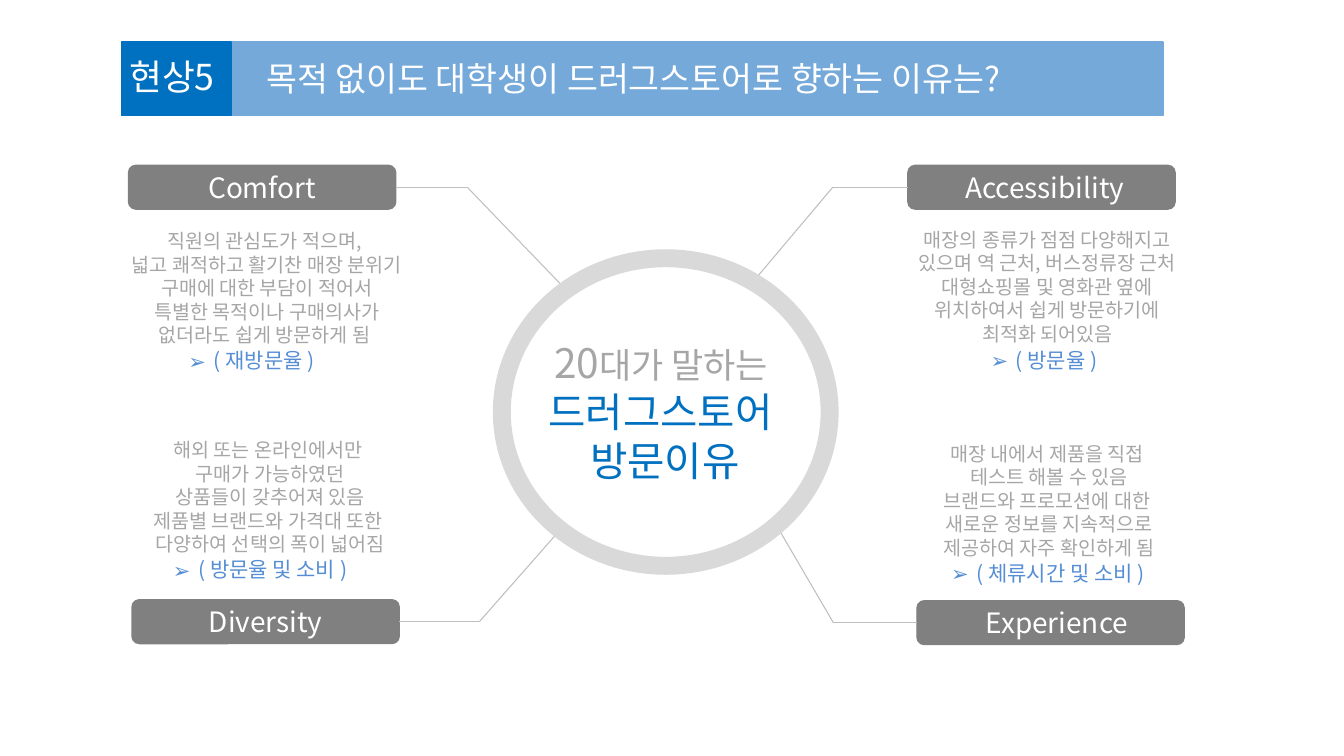
from lxml.etree import SubElement
from pptx import Presentation
from pptx.dml.color import RGBColor
from pptx.enum.shapes import MSO_CONNECTOR, MSO_SHAPE
from pptx.enum.text import MSO_ANCHOR, MSO_AUTO_SIZE, PP_ALIGN
from pptx.oxml.ns import qn
from pptx.util import Pt

FONT = "Noto Sans CJK KR"
WHITE = RGBColor(0xFF, 0xFF, 0xFF)
BLUE = RGBColor(0x00, 0x70, 0xC0)
SKY = RGBColor(0x75, 0xA9, 0xD9)
NOTE = RGBColor(0x55, 0x8E, 0xD5)
DARK = RGBColor(0x80, 0x80, 0x80)
GREY = RGBColor(0xA6, 0xA6, 0xA6)
RULE = RGBColor(0xBF, 0xBF, 0xBF)
PALE = RGBColor(0xD9, 0xD9, 0xD9)

# Content: a line is a list of (text, size, colour) runs
TITLE = "목적 없이도 대학생이 드러그스토어로 향하는 이유는?"
TAG = "현상5"
CORE = [
    [("20", 58, GREY), ("대가 말하는 ", 50, GREY)],
    [("드러그스토어 ", 58, BLUE)],
    [("방문이유", 58, BLUE)],
]
# Boxes are left, top, width, height; side is the card's site facing the ring
CARDS = [
    dict(name="Comfort", at=(183.6, 236.2), pad=0, side=3,
         bend=667.4, end=(805, 410.4),
         box=(167.8, 324, 426.2, 213), note="( 재방문율 ) ", spot=(187.9, 493.6),
         body=["직원의 관심도가 적으며, ", "넓고 쾌적하고 활기찬 매장 분위기",
               "구매에 대한 부담이 적어서",
               "특별한 목적이나 구매의사가 없더라도 쉽게 방문하게 됨 "]),
    dict(name="Accessibility", at=(1296.7, 236.2), pad=9, side=1,
         bend=1189.4, end=(1082.2, 394.6),
         box=(1289.5, 321.8, 412.6, 177), note="( 방문율 ) ", spot=(1319.8, 492.2),
         body=["매장의 종류가 점점 다양해지고 있으며 역 근처, 버스정류장 근처",
               "대형쇼핑몰 및 영화관 옆에", "위치하여서 쉽게 방문하기에",
               "최적화 되어있음"]),
    dict(name="Diversity", at=(188.6, 856.8), pad=0, side=3,
         bend=684.7, end=(797, 760.3),
         box=(190.8, 622.1, 390.2, 211), note="( 방문율 및 소비 ) ",
         spot=(200.2, 791.7),
         body=["해외 또는 온라인에서만 ", "구매가 가능하였던",
               "상품들이 갖추어져 있음", "제품별 브랜드와 가격대 또한 ",
               "다양하여 선택의 폭이 넓어짐"]),
    dict(name="Experience", at=(1309.7, 858.2), pad=18, side=1,
         bend=1190.2, end=(1108.8, 750.2),
         box=(1303.2, 627.1, 390.2, 177), note="( 체류시간 및 소비 ) ",
         spot=(1325.5, 796.7),
         body=["매장 내에서 제품을 직접 ", "테스트 해볼 수 있음",
               "브랜드와 프로모션에 대한 ",
               "새로운 정보를 지속적으로 제공하여 자주 확인하게 됨"]),
]
CARD_W, CARD_H = 381.6, 62.6

deck = Presentation()
deck.slide_width, deck.slide_height = Pt(1919.5), Pt(1080)
slide = deck.slides.add_slide(deck.slide_layouts[5])
shapes = slide.shapes


def points(*nums):
    return [Pt(n) for n in nums]


def paint(shape, color):
    shape.fill.solid()
    shape.fill.fore_color.rgb = color
    shape.line.color.rgb = color
    shape.line.width = Pt(2)


def add_form(kind, box, color):
    shape = shapes.add_shape(kind, *points(*box))
    shape.shadow.inherit = False
    paint(shape, color)
    return shape


def write(shape, lines, align=PP_ALIGN.CENTER, bullet=None, **frame):
    text = shape.text_frame
    look = dict(word_wrap=True, auto_size=MSO_AUTO_SIZE.NONE,
                vertical_anchor=MSO_ANCHOR.TOP) | frame
    for key, val in look.items():
        setattr(text, key, val)
    for row, line in enumerate(lines):
        para = text.add_paragraph() if row else text.paragraphs[0]
        para.alignment = align
        if bullet:
            props = para._p.get_or_add_pPr()
            props.set("marL", str(Pt(36)))
            props.set("indent", str(-Pt(36)))
            SubElement(props, qn("a:buFont"), typeface=FONT)
            SubElement(props, qn("a:buChar"), char=bullet)
        for words, size, color in line:
            run = para.add_run()
            run.text = words
            for key, val in dict(size=Pt(size), name=FONT).items():
                setattr(run.font, key, val)
            run.font.color.rgb = color
            SubElement(run._r.get_or_add_rPr(), qn("a:ea"), typeface=FONT)


def add_text(box, lines, bullet=None):
    write(shapes.add_textbox(*points(*box)), lines, bullet=bullet)


def add_line(start, end):
    line = shapes.add_connector(MSO_CONNECTOR.STRAIGHT, *points(*start, *end))
    line.line.color.rgb = RULE
    line.line.width = Pt(1.5)
    SubElement(line._element.spPr, qn("a:effectLst"))
    return line


# Header
title = shapes.title
title.left, title.top, title.width, title.height = points(330.5, 59.8, 1330.6, 105.1)
paint(title, SKY)
write(title, [[(TITLE, 48, WHITE)]], PP_ALIGN.LEFT,
      margin_left=Pt(50), margin_top=Pt(22.3))
tag = add_form(MSO_SHAPE.RECTANGLE, (173.5, 59.8, 156.2, 105.1), BLUE)
write(tag, [[(TAG, 51, WHITE)]], PP_ALIGN.LEFT,
      margin_left=Pt(11), margin_right=0, margin_top=Pt(18))

# Cards with their lines to the ring
for item in CARDS:
    left, top = item["at"]
    card = add_form(MSO_SHAPE.ROUNDED_RECTANGLE, (left, top, CARD_W, CARD_H), DARK)
    write(card, [[(item["name"], 40, WHITE)]], vertical_anchor=MSO_ANCHOR.MIDDLE,
          margin_left=Pt(7.2 + item["pad"]))
    mid = top + CARD_H / 2
    edge = left + (CARD_W if item["side"] == 3 else 0)
    bend = (item["bend"], mid)
    add_line((edge, mid), bend).begin_connect(card, item["side"])
    add_line(bend, item["end"])
    add_text(item["box"], [[(line, 28, GREY)] for line in item["body"]])
    add_text((*item["spot"], 349.2, 65), [[(item["note"], 30, NOTE)]], "➢")

# Ring and its message
ring = add_form(MSO_SHAPE.DONUT, (704.9, 357.1, 491.8, 463), PALE)
ring.adjustments[0] = 0.051
add_text((592.6, 479.5, 714.2, 218.2), CORE)

deck.save("out.pptx")
